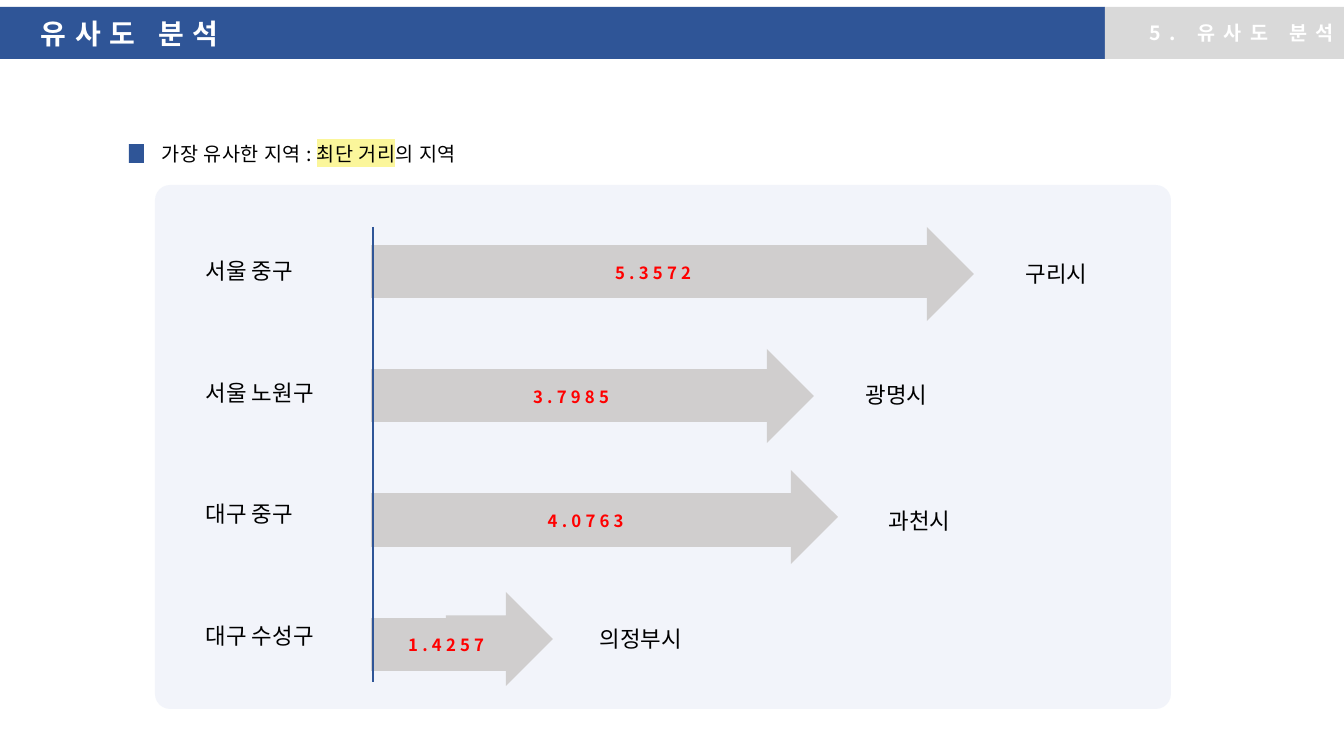
from collections import namedtuple
from dataclasses import dataclass

from lxml import etree
from pptx import Presentation
from pptx.chart.data import CategoryChartData
from pptx.dml.color import RGBColor
from pptx.enum import chart as charts, shapes, text
from pptx.oxml import parse_xml
from pptx.oxml.ns import nsdecls, qn
from pptx.util import Pt

PX = 12192000 / 1344  # EMU in one px


@dataclass(frozen=True)
class Theme:
    font: str = "Noto Sans CJK KR"
    blue: str = "2F5597"
    tab: str = "D9D9D9"
    panel: str = "DAE2F3"
    bar: str = "D0CECE"
    spare: tuple = ("FFC000", "D39F00")
    value: str = "FF0000"
    muted: str = "404040"
    marker: str = "FBF69B"
    black: str = "000000"
    white: str = "FFFFFF"
    title: int = 20
    place: int = 16
    lead: int = 14
    label: int = 12
    chart: int = 10


T = Theme()
Row = namedtuple("Row", "origin distance nearest arrow_x arrow_w name_x name_y")
ROWS = [
    Row("서울 중구", 5.3572, "구리시", 831, 143, 1016, 255),
    Row("서울 노원구", 3.7985, "광명시", 671, 143, 856, 376),
    Row("대구 중구", 4.0763, "과천시", 695, 143, 879, 502),
    Row("대구 수성구", 1.4257, "의정부시", 446, 107, 590, 620),
]
ROW_TOP, ROW_SPAN = 227, 365  # first row, and distance to the last row


def px(*lengths):
    return [round(n * PX) for n in lengths]


def rgb(code):
    return RGBColor.from_string(code)


def set_font(font, size, color, bold=False, spacing=0):
    font.name, font.size, font.bold = T.font, Pt(size), bold
    font.color.rgb = rgb(color)
    rpr = font._element
    etree.SubElement(rpr, qn("a:ea")).set("typeface", T.font)
    if spacing:
        rpr.set("spc", str(round(spacing * 100)))


def add_box(slide, kind, box, color, adj=None, alpha=None):
    sp = slide.shapes.add_shape(kind, *px(*box))
    sp.shadow.inherit = False
    sp.fill.solid()
    sp.fill.fore_color.rgb = rgb(color)
    sp.line.fill.background()
    if adj is not None:
        sp.adjustments[0] = adj
    if alpha:
        clr = sp.fill._xPr.find(qn("a:solidFill"))[0]
        etree.SubElement(clr, qn("a:alpha")).set("val", str(alpha * 1000))
    return sp


def add_band(slide, box, color, words, size, align, margin):
    sp = add_box(slide, shapes.MSO_SHAPE.ROUNDED_RECTANGLE, box, color, adj=0)
    tf = sp.text_frame
    tf.vertical_anchor = text.MSO_ANCHOR.MIDDLE
    tf.margin_left, = px(margin)
    p = tf.paragraphs[0]
    p.alignment = align
    p.add_run().text = words
    set_font(p.font, size, T.white, bold=True, spacing=6)


def add_text(slide, box, parts, size, spacing=0):
    """Each part is a pair: words, highlight colour or None."""
    tf = slide.shapes.add_textbox(*px(*box)).text_frame
    tf.word_wrap = True
    tf.auto_size = text.MSO_AUTO_SIZE.SHAPE_TO_FIT_TEXT
    p = tf.paragraphs[0]
    for words, marker in parts:
        r = p.add_run()
        r.text = words
        if marker:
            r.font._element.append(parse_xml(
                f'<a:highlight {nsdecls("a")}><a:srgbClr val="{marker}"/></a:highlight>'))
    set_font(p.font, size, T.black, spacing=spacing)


def add_line(slide, x1, y1, x2, y2):
    line = slide.shapes.add_connector(shapes.MSO_CONNECTOR.STRAIGHT, *px(x1, y1, x2, y2))
    line.line.color.rgb = rgb(T.blue)
    line.line.width = Pt(1)
    etree.SubElement(line._element.spPr, qn("a:effectLst"))


def add_distance_chart(slide, box):
    data = CategoryChartData()
    data.categories = ["1", "2", "3", "4"]
    data.add_series("Series 1", [row.distance for row in reversed(ROWS)])
    for name in ("Series 2", "Series 3"):
        data.add_series(name, [None] * len(ROWS))
    chart = slide.shapes.add_chart(
        charts.XL_CHART_TYPE.BAR_CLUSTERED, *px(*box), data).chart
    chart.has_legend = chart.has_title = False
    set_font(chart.font, T.chart, T.black)
    chart.category_axis.visible = chart.value_axis.visible = False
    chart.value_axis.has_major_gridlines = False
    chart.value_axis.minimum_scale, chart.value_axis.maximum_scale = 0, 6

    plot = chart.plots[0]
    plot.gap_width, plot.overlap, plot.vary_by_categories = 0, 33, False
    for series, color in zip(plot.series, (T.bar, *T.spare)):
        main_series = color == T.bar
        series.format.fill.solid()
        series.format.fill.fore_color.rgb = rgb(color)
        labels = series.data_labels
        labels.show_value = True
        labels.position = charts.XL_LABEL_POSITION.CENTER
        set_font(labels.font, T.label, T.value if main_series else T.muted,
                 bold=main_series, spacing=3)

    # Fixed plot area, so that the bars start at the axis line
    area = chart._chartSpace.chart.plotArea
    for old in area.findall(qn("c:layout")):
        area.remove(old)
    places = {"x": 0.02, "y": 0.02, "w": 0.96, "h": 0.96}
    sizes = "".join(f'<c:{k} val="{v}"/>' for k, v in places.items())
    area.insert(0, parse_xml(
        f'<c:layout {nsdecls("c")}><c:manualLayout><c:layoutTarget val="inner"/>'
        f'<c:xMode val="edge"/><c:yMode val="edge"/>{sizes}</c:manualLayout></c:layout>'))


def main():
    prs = Presentation()
    prs.slide_width, prs.slide_height = px(1344, 756)
    slide = prs.slides.add_slide(prs.slide_layouts[6])
    kinds = shapes.MSO_SHAPE

    # Header
    add_band(slide, (0, 7, 1105, 52), T.blue, "유사도 분석", T.title, text.PP_ALIGN.LEFT, 41)
    add_band(slide, (1105, 7, 239, 52), T.tab, "5. 유사도 분석", T.lead,
             text.PP_ALIGN.RIGHT, 10)

    # Lead sentence
    add_box(slide, kinds.RECTANGLE, (129, 144, 15, 19), T.blue)
    add_text(slide, (152, 137, 375, 34),
             [("가장 유사한 지역 : ", None), ("최단 거리", T.marker), ("의 지역", None)],
             T.lead, spacing=0.3)

    # Panel, arrowheads and place names
    add_box(slide, kinds.ROUNDED_RECTANGLE, (155, 185, 1016, 524), T.panel,
            adj=0.029, alpha=35)
    for i, row in enumerate(ROWS):
        y = ROW_TOP + round(ROW_SPAN * i / (len(ROWS) - 1))
        add_box(slide, kinds.RIGHT_ARROW, (row.arrow_x, y, row.arrow_w, 94), T.bar)
        add_text(slide, (196, y + 25, 160, 37), [(row.origin, None)], T.place)
        add_text(slide, (row.name_x, row.name_y, 160, 37), [(row.nearest, None)], T.place)

    # Distances and axis line
    add_distance_chart(slide, (358, 164, 658, 517))
    add_line(slide, 373, 227, 373, 682)

    prs.save("out.pptx")


if __name__ == "__main__":
    main()
